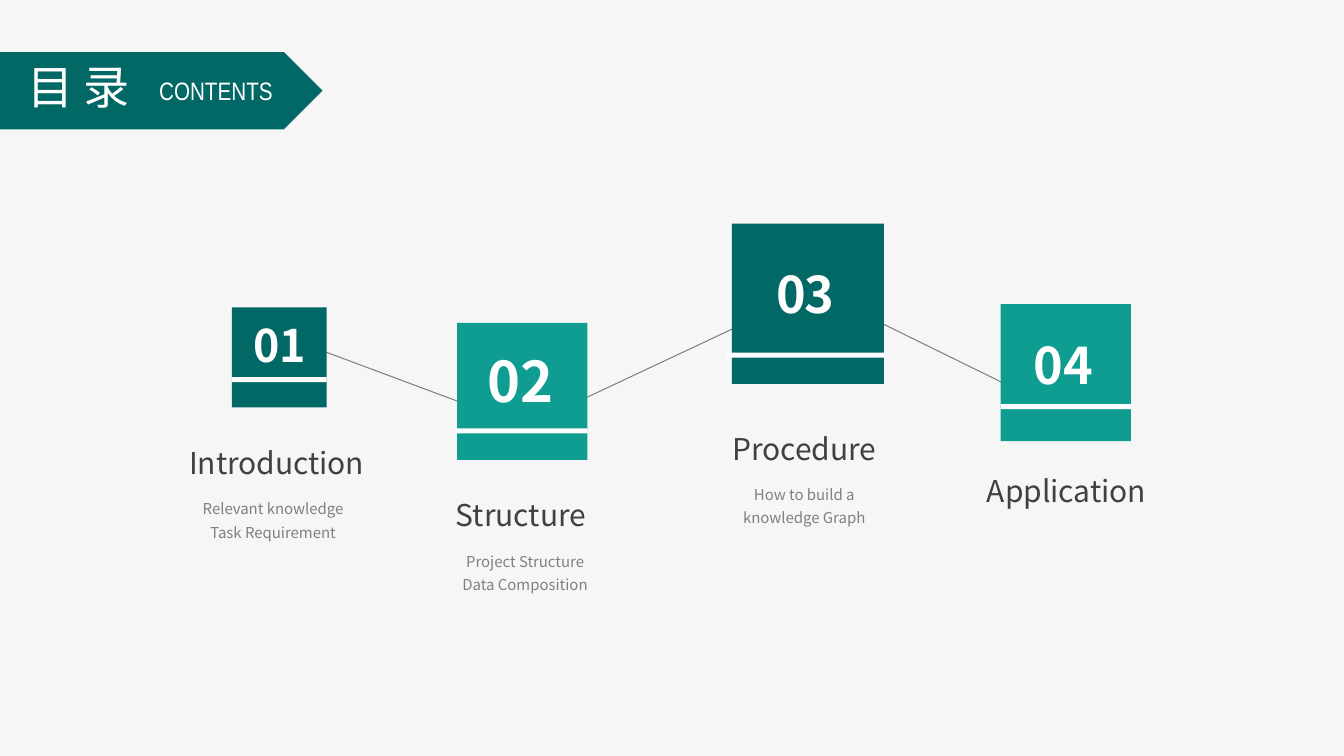
from dataclasses import dataclass
from typing import Optional

from lxml.etree import SubElement
from pptx import Presentation
from pptx.dml.color import RGBColor
from pptx.enum.shapes import MSO_CONNECTOR, MSO_SHAPE
from pptx.enum.text import MSO_AUTO_SIZE, PP_ALIGN
from pptx.oxml.ns import qn
from pptx.util import Pt


@dataclass(frozen=True)
class Theme:
    background: str = "F6F6F6"
    dark: str = "016865"
    light: str = "0F9D92"
    white: str = "FFFFFF"
    title: str = "404040"
    grey: str = "808080"
    font: str = "Noto Sans CJK SC"
    narrow_font: str = "Arial Narrow"
    heading_size: float = 33
    subheading_size: float = 18
    title_size: float = 21.4
    detail_size: float = 10.7


@dataclass(frozen=True)
class Box:
    x: float
    y: float
    w: float
    h: float


@dataclass(frozen=True)
class Section:
    number: str
    number_size: float
    number_box: Box
    color: str
    card: Box
    bar: Box
    title: str
    title_box: Box
    details: tuple[str, ...] = ()
    detail_x: float = 0
    wrap: bool = True
    spacing: Optional[float] = None


T = Theme()
BAR_H = 3.6
TITLE_W = 139.7
TITLE_H = 25.9
DETAIL_H = 38.9
DETAIL_DROP = 32.2

SECTIONS = [
    Section("01", 32, Box(167.8, 223.2, 64.1, 46.1), T.dark,
            Box(165.6, 219.6, 67.7, 71.5), Box(165.6, 269.3, 67.7, BAR_H),
            "Introduction", Box(125.3, 317.5, 144.7, TITLE_H),
            ("Relevant knowledge", "Task Requirement"), 125.3),
    Section("02", 40, Box(327.6, 244.1, 88.6, 55.4), T.light,
            Box(326.6, 230.6, 93, 97.9), Box(326.4, 306, 93.4, BAR_H),
            "Structure", Box(302.4, 355, TITLE_W, TITLE_H),
            ("Project Structure", "Data Composition"), 305.3),
    Section("03", 36, Box(547.2, 184.3, 56.2, 51.1), T.dark,
            Box(522.7, 159.8, 108.7, 114.5), Box(519.1, 251.8, 113, BAR_H),
            "Procedure", Box(504.7, 307.4, TITLE_W, TITLE_H),
            ("How to build a knowledge Graph",), 504.7,
            wrap=False, spacing=-1.5),
    Section("04", 36, Box(730.1, 235.4, 59, 51.1), T.light,
            Box(714.8, 217.2, 93, 97.9), Box(714.8, 288.7, 93, BAR_H),
            "Application", Box(691.9, 337.7, TITLE_W, TITLE_H), wrap=False),
]
LINK_POINTS = [(230.4, 250.6), (375.1, 304.6), (581.8, 207.4), (737.3, 283.7)]


def add_block(s, box: Box, color: str, kind=MSO_SHAPE.RECTANGLE) -> None:
    sp = s.shapes.add_shape(kind, Pt(box.x), Pt(box.y), Pt(box.w), Pt(box.h))
    sp.shadow.inherit = False
    sp.fill.solid()
    sp.fill.fore_color.rgb = RGBColor.from_string(color)
    sp.line.fill.background()


def add_link(s, start: tuple[float, float], end: tuple[float, float]) -> None:
    line = s.shapes.add_connector(MSO_CONNECTOR.STRAIGHT, *map(Pt, start + end))
    line.line.color.rgb = RGBColor.from_string(T.grey)
    line.line.width = Pt(0.75)
    SubElement(line._element.spPr, qn("a:effectLst"))


def add_text(s, box: Box, *lines: str, size: float, color: str,
             font: str = T.font, bold: bool = False, align=PP_ALIGN.CENTER,
             wrap: bool = True, inset: tuple[float, float] = (7.2, 3.6),
             line_spacing: Optional[float] = None,
             spacing: Optional[float] = None) -> None:
    sp = s.shapes.add_textbox(Pt(box.x), Pt(box.y), Pt(box.w), Pt(box.h))
    tf = sp.text_frame
    tf.word_wrap = wrap
    tf.auto_size = MSO_AUTO_SIZE.SHAPE_TO_FIT_TEXT
    tf.margin_left = tf.margin_right = Pt(inset[0])
    tf.margin_top = tf.margin_bottom = Pt(inset[1])
    for i, text in enumerate(lines):
        p = tf.add_paragraph() if i else tf.paragraphs[0]
        p.alignment = align
        if line_spacing:
            p.line_spacing = line_spacing
        r = p.add_run()
        r.text = text
        r.font.size = Pt(size)
        r.font.name = font
        r.font.bold = bold
        r.font.color.rgb = RGBColor.from_string(color)
        rPr = r._r.get_or_add_rPr()
        SubElement(rPr, qn("a:ea")).set("typeface", font)
        if spacing is not None:
            rPr.set("spc", str(int(spacing * 100)))


def add_section(s, item: Section) -> None:
    add_block(s, item.card, item.color)
    add_text(s, item.number_box, item.number, size=item.number_size,
             color=T.white, bold=True, wrap=item.wrap, spacing=item.spacing)
    add_block(s, item.bar, T.white)
    add_text(s, item.title_box, item.title, size=T.title_size,
             color=T.title, inset=(7.2, 0))
    if item.details:
        box = Box(item.detail_x, item.title_box.y + DETAIL_DROP, TITLE_W, DETAIL_H)
        add_text(s, box, *item.details, size=T.detail_size, color=T.grey,
                 line_spacing=1.3)


def main() -> None:
    prs = Presentation()
    prs.slide_width, prs.slide_height = Pt(960), Pt(540)
    s = prs.slides.add_slide(prs.slide_layouts[6])
    s.background.fill.solid()
    s.background.fill.fore_color.rgb = RGBColor.from_string(T.background)

    add_block(s, Box(0, 37.2, 230.4, 55.2), T.dark, MSO_SHAPE.PENTAGON)
    add_text(s, Box(9.4, 38.9, 93.6, 45.4), "目 录", size=T.heading_size,
             color=T.white, inset=(5, 2.9))
    add_text(s, Box(108.7, 51.1, 110.2, 27.4), "CONTENTS",
             size=T.subheading_size, color=T.white, font=T.narrow_font,
             align=PP_ALIGN.LEFT, inset=(5, 2.9))

    for start, end in zip(LINK_POINTS, LINK_POINTS[1:]):
        add_link(s, start, end)
    for item in SECTIONS:
        add_section(s, item)
    prs.save("out.pptx")


if __name__ == "__main__":
    main()
